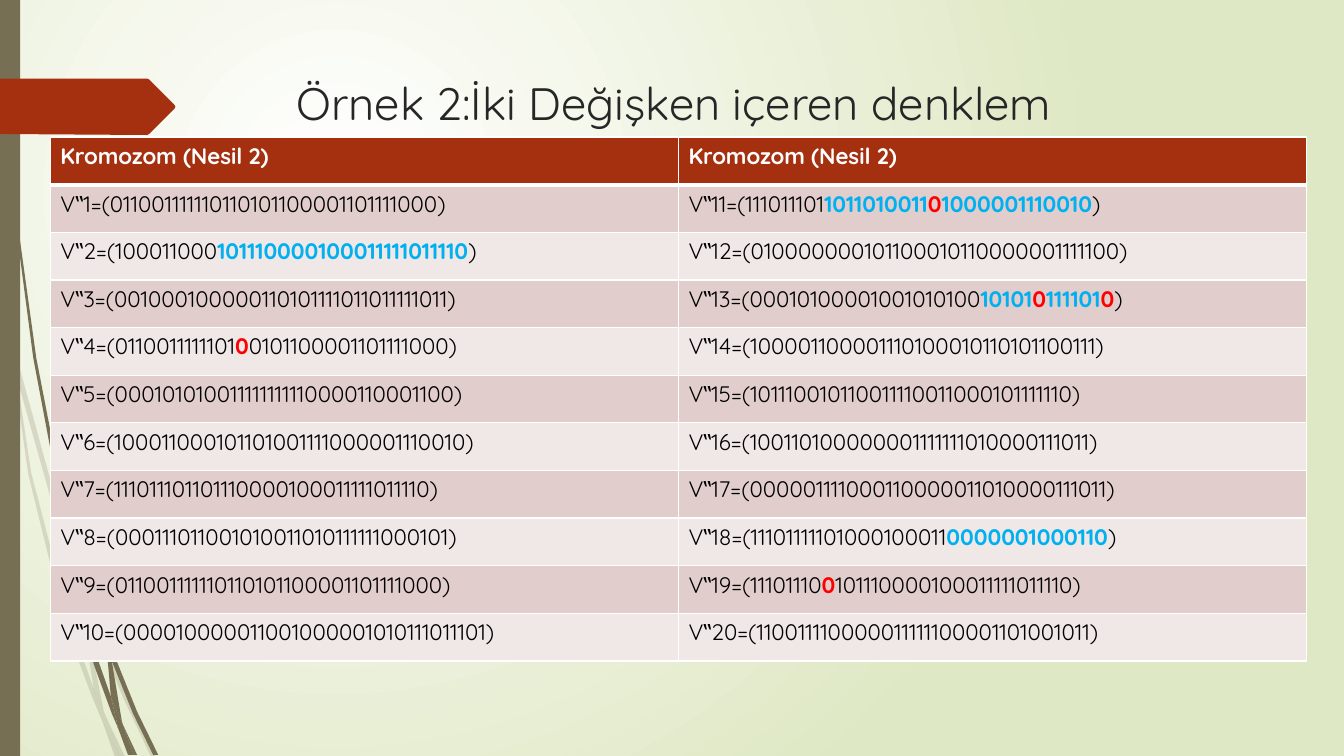
from dataclasses import dataclass
from itertools import groupby

from lxml import etree
from pptx import Presentation
from pptx.dml.color import RGBColor
from pptx.enum.shapes import MSO_SHAPE
from pptx.enum.text import MSO_ANCHOR, MSO_AUTO_SIZE, PP_ALIGN
from pptx.oxml.ns import qn
from pptx.util import Pt

RECTANGLE = MSO_SHAPE.RECTANGLE
LEFT, MIDDLE, NO_FIT = PP_ALIGN.LEFT, MSO_ANCHOR.MIDDLE, MSO_AUTO_SIZE.NONE
PX = 9144  # 100 px to the inch
SLIDE_WIDTH, SLIDE_HEIGHT = 1333, 750
NEVER = 99


@dataclass(frozen=True)
class Theme:
    font: str = "Quicksand"
    title_size: float = 32.4
    cell_size: int = 16
    title: str = "262626"
    text: str = "000000"
    white: str = "FFFFFF"
    green: str = "DFE8C4"
    stem: str = "766F54"
    accent: str = "A53010"
    bands: tuple[str, str] = ("E1CDCC", "F0E8E7")
    crossover: str = "00B0F0"
    mutation: str = "FF0000"


@dataclass(frozen=True)
class Chromosome:
    bits: str
    crossed_from: int = NEVER
    mutated: tuple[int, ...] = ()


@dataclass(frozen=True)
class Grass:
    opacity: int
    blades: list[list[tuple[int, int]]]


THEME = Theme()

CHROMOSOMES = [
    Chromosome("011001111110110101100001101111000"),
    Chromosome("100011000101110000100011111011110", 9),
    Chromosome("001000100000110101111011011111011"),
    Chromosome("011001111110100101100001101111000", mutated=(13,)),
    Chromosome("000101010011111111110000110001100"),
    Chromosome("100011000101101001111000001110010"),
    Chromosome("111011101101110000100011111011110"),
    Chromosome("000111011001010011010111111000101"),
    Chromosome("011001111110110101100001101111000"),
    Chromosome("000010000011001000001010111011101"),
    Chromosome("111011101101101001101000001110010", 9, (19,)),
    Chromosome("010000000101100010110000001111100"),
    Chromosome("000101000010010101001010101111010", 20, (25, 32)),
    Chromosome("100001100001110100010110101100111"),
    Chromosome("101110010110011110011000101111110"),
    Chromosome("100110100000001111111010000111011"),
    Chromosome("000001111000110000011010000111011"),
    Chromosome("111011111010001000110000001000110", 20),
    Chromosome("111011100101110000100011111011110", mutated=(8,)),
    Chromosome("110011110000011111100001101001011"),
]
ROWS = len(CHROMOSOMES) // 2

FAINT_GRASS = Grass(20, [
    [(11, 350), (9, 322), (0, 282), (0, 299), (10, 344)],
    [(58, 522), (84, 599), (85, 586), (62, 520), (14, 345), (17, 376)],
    [(92, 607), (88, 596), (88, 610), (123, 694), (150, 751), (155, 751), (127, 692)],
    [(119, 751), (124, 751), (105, 711)],
    [(93, 683), (70, 619), (31, 469), (17, 376), (11, 350), (28, 470), (65, 621),
     (92, 693), (101, 714), (99, 707)],
    [(84, 599), (87, 646), (93, 683), (96, 692), (105, 711), (103, 706), (91, 646),
     (88, 610), (88, 608)],
    [(88, 584), (110, 462), (160, 349), (229, 245), (268, 198), (290, 175), (312, 154),
     (312, 153), (289, 175), (268, 197), (228, 244), (158, 348), (107, 461), (85, 584),
     (85, 586), (88, 596)],
    [(101, 714), (114, 751), (119, 751)],
    [(88, 608), (88, 596), (85, 586), (84, 599)],
    [(96, 692), (93, 683), (99, 707), (101, 714), (119, 751), (105, 711)],
])
DARK_GRASS = Grass(100, [
    [(7, 110), (17, 233), (33, 355), (56, 477), (57, 481), (55, 457), (55, 453),
     (36, 355), (19, 232), (8, 109), (5, 48), (4, 0), (3, 0), (4, 48)],
    [(88, 592), (106, 645), (106, 631), (93, 590), (60, 472), (64, 505)],
    [(113, 649), (110, 641), (111, 656), (132, 708), (152, 749), (157, 749), (136, 706)],
    [(110, 691), (98, 657), (72, 556), (64, 505), (57, 477), (68, 557), (93, 659),
     (111, 708), (117, 722), (116, 717)],
    [(60, 472), (58, 453), (54, 349), (58, 245), (63, 193), (70, 141), (62, 193),
     (56, 245), (52, 349), (55, 449)],
    [(133, 749), (136, 749), (122, 719)],
    [(57, 477), (64, 505), (60, 472), (55, 449), (55, 453)],
    [(111, 633), (125, 552), (158, 476), (205, 406), (231, 374), (245, 359), (261, 344),
     (260, 344), (245, 358), (231, 373), (204, 405), (156, 474), (122, 551), (106, 631),
     (110, 641)],
    [(117, 722), (127, 749), (131, 749)],
    [(106, 645), (110, 691), (116, 706), (122, 719), (121, 716), (111, 656), (109, 651)],
    [(106, 645), (109, 651), (111, 656), (110, 641), (106, 631)],
    [(116, 706), (110, 691), (116, 717), (117, 722), (130, 749), (133, 749), (122, 719)],
])
ARROW = [(0, 78), (146, 78), (148, 79), (173, 104), (174, 106), (173, 108),
         (148, 133), (146, 134), (0, 133)]


def rgb(color: str) -> RGBColor:
    return RGBColor.from_string(color)


def paint(shape, color: str, opacity: int = 100) -> None:
    shape.shadow.inherit = False
    shape.fill.solid()
    shape.fill.fore_color.rgb = rgb(color)
    shape.line.fill.background()
    if opacity < 100:
        solid = shape.element.spPr.find(qn("a:solidFill"))
        etree.SubElement(solid[0], qn("a:alpha"), val=str(opacity * 1000))


def add_outline(shapes, points: list[tuple[int, int]], color: str, opacity: int = 100) -> None:
    builder = shapes.build_freeform(*points[0], scale=PX)
    builder.add_line_segments(points[1:], close=True)
    paint(builder.convert_to_shape(), color, opacity)


def add_run(paragraph, text: str, size: float, color: str, bold: bool = False) -> None:
    run = paragraph.add_run()
    run.text = text
    run.font.name = THEME.font
    run.font.size = Pt(size)
    run.font.bold = bold
    run.font.color.rgb = rgb(color)


def set_background(slide) -> None:
    fill = slide.background.fill
    fill.gradient()
    for stop, color in zip(fill.gradient_stops, (THEME.white, THEME.green)):
        stop.color.rgb = rgb(color)
    gradient = slide.element.find(".//" + qn("a:gradFill"))
    gradient.remove(gradient.find(qn("a:lin")))
    circle = etree.SubElement(gradient, qn("a:path"), {"path": "circle"})
    etree.SubElement(circle, qn("a:fillToRect"), l="50000", t="50000", r="100000", b="100000")


def style_cell(cell, fill: str, bottom: int = 1, top: int = 1) -> None:
    """Give a cell white borders, widths in points, and a fill."""
    properties = cell._tc.get_or_add_tcPr()
    for side, width in (("L", 1), ("R", 1), ("T", top), ("B", bottom)):
        border = etree.SubElement(properties, qn(f"a:ln{side}"), w=str(Pt(width)))
        solid = etree.SubElement(border, qn("a:solidFill"))
        etree.SubElement(solid, qn("a:srgbClr"), val=THEME.white)
    cell.fill.solid()
    cell.fill.fore_color.rgb = rgb(fill)


def write_chromosome(paragraph, number: int, chromosome: Chromosome) -> None:
    label = f"V‟{number}=("
    text = f"{label}{chromosome.bits})"

    def color_at(index: int) -> str:
        bit = index - len(label)
        if bit in chromosome.mutated:
            return THEME.mutation
        crossed = chromosome.crossed_from <= bit < len(chromosome.bits)
        return THEME.crossover if crossed else THEME.text

    for color, indexes in groupby(range(len(text)), color_at):
        part = "".join(text[index] for index in indexes)
        add_run(paragraph, part, THEME.cell_size, color, color != THEME.text)


def add_generation_table(slide) -> None:
    table = slide.shapes.add_table(
        ROWS + 1, 2, 50 * PX, 136 * PX, 1246 * PX, 520 * PX).table
    for column in range(2):
        header = table.cell(0, column)
        style_cell(header, THEME.accent, bottom=3)
        add_run(header.text_frame.paragraphs[0], "Kromozom (Nesil 2)",
                THEME.cell_size, THEME.white, True)
    for index, chromosome in enumerate(CHROMOSOMES):
        column, row = divmod(index, ROWS)
        cell = table.cell(row + 1, column)
        style_cell(cell, THEME.bands[row % 2], top=1 if row else 3)
        write_chromosome(cell.text_frame.paragraphs[0], index + 1, chromosome)


def add_title(slide) -> None:
    title = slide.shapes.title
    title.left, title.top, title.width, title.height = (
        length * PX for length in (284, 68, 975, 68))
    frame = title.text_frame
    frame.auto_size = NO_FIT
    frame.vertical_anchor = MIDDLE
    frame.paragraphs[0].alignment = LEFT
    add_run(frame.paragraphs[0], "Örnek 2:İki Değişken içeren denklem",
            THEME.title_size, THEME.title)


def main() -> None:
    deck = Presentation()
    deck.slide_width, deck.slide_height = SLIDE_WIDTH * PX, SLIDE_HEIGHT * PX
    slide = deck.slides.add_slide(deck.slide_layouts[5])
    set_background(slide)
    for grass in (FAINT_GRASS, DARK_GRASS):
        clump = slide.shapes.add_group_shape()
        for blade in grass.blades:
            add_outline(clump.shapes, blade, THEME.stem, grass.opacity)
    side_bar = slide.shapes.add_shape(RECTANGLE, 0, 0, 20 * PX, SLIDE_HEIGHT * PX)
    paint(side_bar, THEME.stem)
    add_outline(slide.shapes, ARROW, THEME.accent)
    add_title(slide)
    add_generation_table(slide)
    deck.save("out.pptx")


if __name__ == "__main__":
    main()
